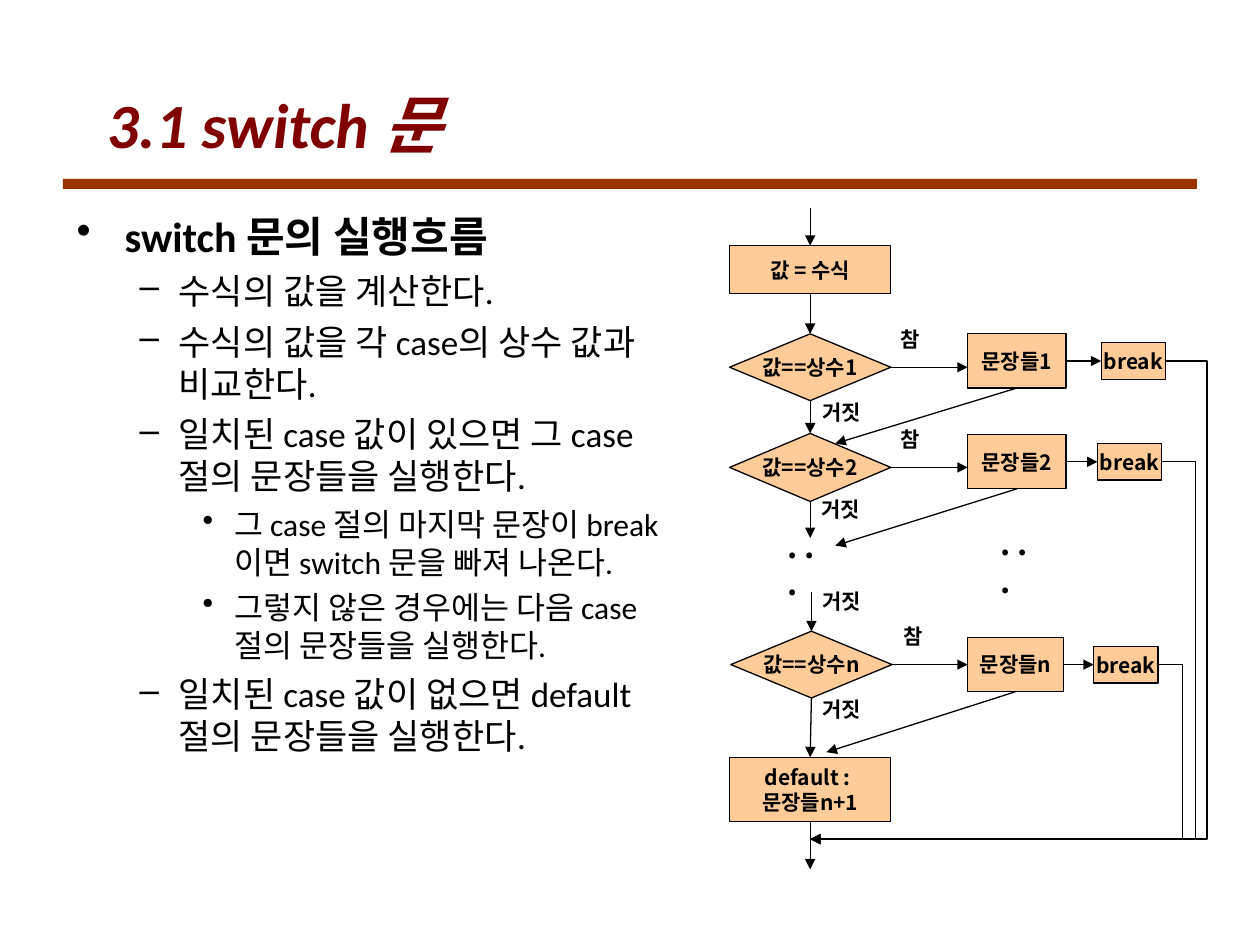
from lxml import etree
from pptx import Presentation
from pptx.dml.color import RGBColor
from pptx.enum import shapes, text
from pptx.oxml import ns
from pptx.util import Inches, Pt

COLORS = {"rule": "993300", "title": "800000", "box": "FFCC99", "ink": "000000"}
LATIN, KOREAN = "Calibri", "Noto Sans CJK KR"
TOP, LEFT, BOTTOM, RIGHT = range(4)
PROCESS = shapes.MSO_SHAPE.FLOWCHART_PROCESS
DECISION = shapes.MSO_SHAPE.FLOWCHART_DECISION

# level: (bullet, left margin, hanging indent, size, space before)
LEVELS = [("•", 0.38, 0.38, 24, 6), ("–", 0.81, 0.31, 20, 5), ("•", 1.25, 0.25, 18, 4.5)]
OUTLINE = [
    (0, "switch 문의 실행흐름"),
    (1, "수식의 값을 계산한다."),
    (1, "수식의 값을 각 case의 상수 값과 비교한다."),
    (1, "일치된 case 값이 있으면 그 case 절의 문장들을 실행한다."),
    (2, "그 case 절의 마지막 문장이 break이면 switch 문을 빠져 나온다."),
    (2, "그렇지 않은 경우에는 다음 case 절의 문장들을 실행한다."),
    (1, "일치된 case 값이 없으면 default 절의 문장들을 실행한다."),
]

# suffix, decision (x, y, h), statements (y, w), break x, next-case point, exit rail x
CASES = [
    ("1", (5.79, 2.65, 0.53), (2.65, 0.78), 8.74, (6.63, 3.52), 9.58),
    ("2", (5.79, 3.44, 0.54), (3.45, 0.78), 8.71, (6.63, 4.33), 9.49),
    ("n", (5.8, 5.01, 0.53), (5.06, 0.76), 8.68, (6.56, 5.97), 9.39),
]
LABELS = [("참", 7.05, 2.54), ("참", 7.05, 3.34), ("참", 7.07, 4.9),
          ("거짓", 6.43, 3.12), ("거짓", 6.42, 3.89), ("거짓", 6.43, 4.62), ("거짓", 6.43, 5.48)]
EXIT = (6.43, 6.66)


def color(name):
    return RGBColor.from_string(COLORS[name])


def add_run(p, content, size, font=KOREAN, ink="ink", bold=True, italic=False):
    r = p.add_run()
    r.text = content
    f = r.font
    f.name, f.size, f.bold, f.italic = font, Pt(size), bold, italic
    f.color.rgb = color(ink)
    etree.SubElement(r._r.get_or_add_rPr(), ns.qn("a:ea"), typeface=KOREAN)


def add_textbox(s, x, y, w, h, wrap=False):
    tf = s.shapes.add_textbox(Inches(x), Inches(y), Inches(w), Inches(h)).text_frame
    tf.word_wrap = wrap
    return tf


def add_box(s, kind, x, y, w, h, *lines):
    sp = s.shapes.add_shape(kind, Inches(x), Inches(y), Inches(w), Inches(h))
    sp.shadow.inherit = False
    sp.fill.solid()
    sp.fill.fore_color.rgb = color("box")
    sp.line.color.rgb = color("ink")
    sp.line.width = Pt(0.75)
    tf = sp.text_frame
    tf.word_wrap = False
    tf.vertical_anchor = text.MSO_ANCHOR.MIDDLE
    for i, line in enumerate(lines):
        p = tf.paragraphs[0] if i == 0 else tf.add_paragraph()
        p.alignment = text.PP_ALIGN.CENTER
        add_run(p, line, 12)
    return sp


def add_arrow(s, start, end, kind=shapes.MSO_CONNECTOR.STRAIGHT):
    """Each end is an (x, y) point in inches or a (shape, site) pair."""
    joined = [not isinstance(e[0], (int, float)) for e in (start, end)]
    points = [(0, 0) if j else e for j, e in zip(joined, (start, end))]
    c = s.shapes.add_connector(kind, *(Inches(v) for pt in points for v in pt))
    if joined[0]:
        c.begin_connect(*start)
    if joined[1]:
        c.end_connect(*end)
    c.line.color.rgb = color("ink")
    c.line.width = Pt(0.75)
    etree.SubElement(c.line._get_or_add_ln(), ns.qn("a:tailEnd"), type="triangle")
    etree.SubElement(c._element.spPr, ns.qn("a:effectLst"))
    return c


def add_exit(s, x, y, rail):
    """Elbow arrow that runs out to the rail, down, and back to the exit point."""
    c = add_arrow(s, (x, y), EXIT, shapes.MSO_CONNECTOR.ELBOW)
    guides = c._element.spPr.find(ns.qn("a:prstGeom")).get_or_add_avLst()
    bend = round((x - rail) / (x - EXIT[0]) * 100000)
    etree.SubElement(guides, ns.qn("a:gd"), name="adj1", fmla=f"val {bend}")


def add_heading(s):
    rule = s.shapes.add_shape(shapes.MSO_SHAPE.RECTANGLE,
                              Inches(0.5), Inches(1.42), Inches(9), Inches(0.08))
    rule.shadow.inherit = False
    rule.fill.solid()
    rule.fill.fore_color.rgb = color("rule")
    rule.line.fill.background()
    tf = add_textbox(s, 0.75, 0.52, 8.5, 0.92, wrap=True)
    tf.vertical_anchor = text.MSO_ANCHOR.MIDDLE
    add_run(tf.paragraphs[0], "3.1 switch 문", 36, LATIN, "title", italic=True)


def add_outline(s):
    tf = add_textbox(s, 0.51, 1.62, 4.88, 5.17, wrap=True)
    for i, (level, content) in enumerate(OUTLINE):
        bullet, margin, hanging, size, before = LEVELS[level]
        p = tf.paragraphs[0] if i == 0 else tf.add_paragraph()
        p.level = level
        p.line_spacing = 1.0
        p.space_before = Pt(before)
        pPr = p._p.get_or_add_pPr()
        pPr.set("marL", str(Inches(margin)))
        pPr.set("indent", str(-Inches(hanging)))
        etree.SubElement(pPr, ns.qn("a:buChar"), char=bullet)
        add_run(p, content, size, LATIN, bold=level == 0)


def add_case(s, suffix, decision, statements, break_x, next_case, rail):
    x, y, h = decision
    test = add_box(s, DECISION, x, y, 1.28, h, f"값==상수{suffix}")
    top, width = statements
    body = add_box(s, PROCESS, 7.68, top, width, 0.43, f"문장들{suffix}")
    stop = add_box(s, PROCESS, break_x, top + 0.07, 0.51, 0.29, "break")
    level, middle = y + h / 2, top + 0.43 / 2
    aligned = abs(level - middle) < 0.01
    add_arrow(s, (test, RIGHT), (body, LEFT) if aligned else (7.68, level))
    add_arrow(s, (body, RIGHT), (stop, LEFT))
    add_arrow(s, (body, BOTTOM), next_case)
    add_exit(s, break_x + 0.51, middle, rail)
    return test


def add_flowchart(s):
    value = add_box(s, PROCESS, 5.79, 1.95, 1.28, 0.38, "값 = 수식")
    default = add_box(s, PROCESS, 5.79, 6.01, 1.28, 0.51, "default : ", "문장들n+1")
    first, second, last = [add_case(s, *case) for case in CASES]
    add_arrow(s, (6.43, 1.65), (value, TOP))
    for upper, lower in [(value, first), (first, second), (last, default)]:
        add_arrow(s, (upper, BOTTOM), (lower, TOP))
    add_arrow(s, (second, BOTTOM), (6.43, 4.27))
    add_arrow(s, (6.44, 4.7), (last, TOP))
    add_arrow(s, (default, BOTTOM), (6.43, 6.9))
    for content, x, y in LABELS:
        tf = add_textbox(s, x, y, 0.37 if content == "참" else 0.53, 0.3)
        add_run(tf.paragraphs[0], content, 12)
    for x, y in [(6.15, 4.13), (7.84, 4.11)]:
        tf = add_textbox(s, x, y, 0.54, 0.4, wrap=True)
        add_run(tf.paragraphs[0], ". . .", 18)


def main():
    prs = Presentation()
    prs.slide_width, prs.slide_height = Inches(10), Inches(7.5)
    s = prs.slides.add_slide(prs.slide_layouts[6])
    add_heading(s)
    add_outline(s)
    add_flowchart(s)
    prs.save("out.pptx")


if __name__ == "__main__":
    main()
